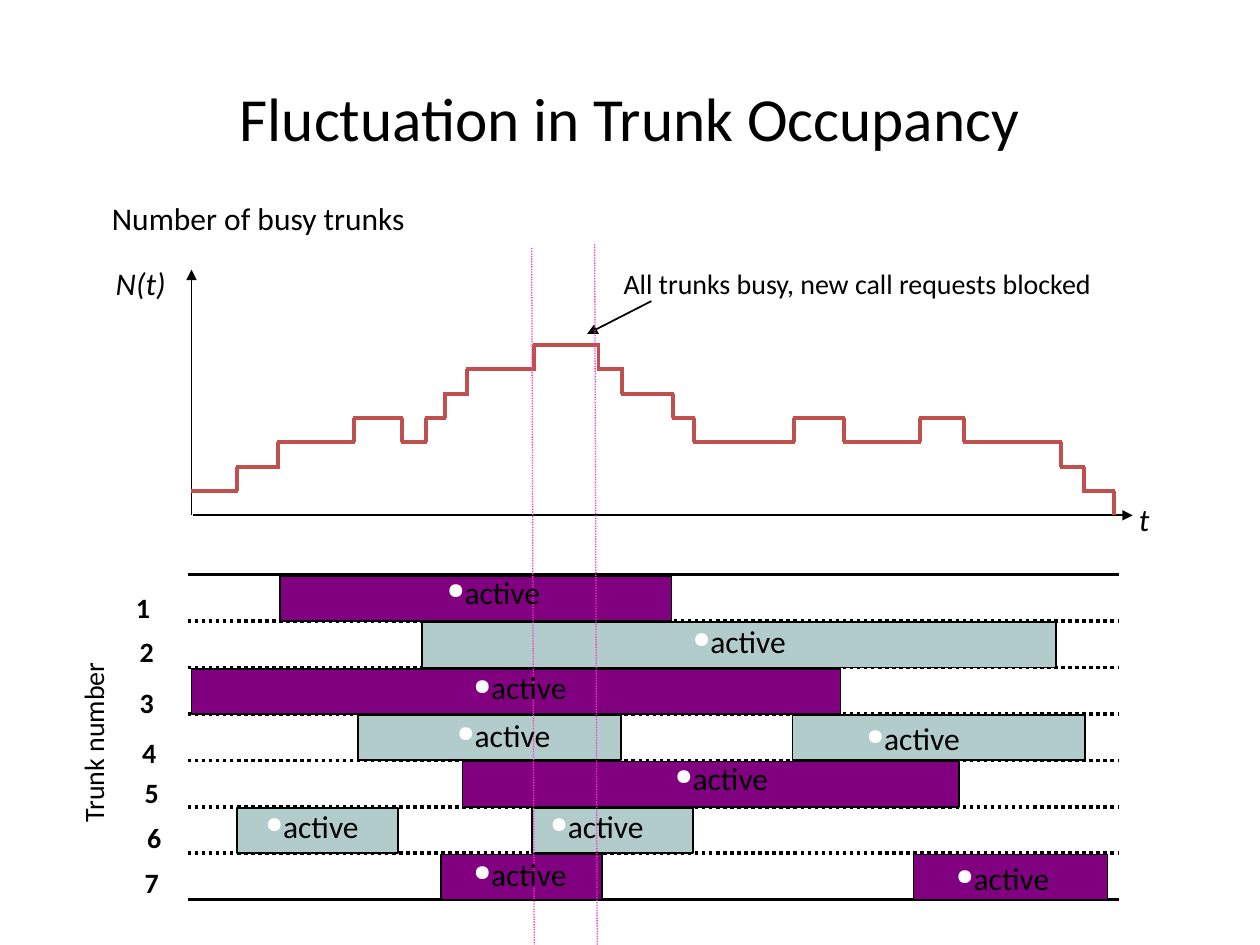
import pptx
import pptx.util
from lxml import etree
from pptx.dml.color import RGBColor
from pptx.enum.dml import MSO_LINE
from pptx.enum.shapes import MSO_CONNECTOR, MSO_SHAPE
from pptx.enum.text import MSO_ANCHOR, MSO_AUTO_SIZE, PP_ALIGN
from pptx.oxml.ns import qn
from pptx.util import Inches

# Content
TITLE = "Fluctuation in Trunk Occupancy"
FONT = "Calibri"
BLACK, PURPLE, TEAL, RED, PINK, WHITE = (
    "000000", "800080", "B1CCCB", "C0504D", "FF33CC", "FFFFFF")

# trunk, bar left, bar width, label left, label top
CALLS = [
    (1, 2.22, 3.11, 3.45, 4.53),
    (2, 3.35, 5.03, 5.40, 4.92),
    (3, 1.52, 5.15, 3.66, 5.29),
    (4, 2.84, 2.09, 3.53, 5.67),
    (4, 6.29, 2.32, 6.78, 5.69),
    (5, 3.67, 3.94, 5.26, 6.01),
    (6, 1.88, 1.28, 2.01, 6.39),
    (6, 4.22, 1.28, 4.27, 6.39),
    (7, 3.50, 1.28, 3.66, 6.77),
    (7, 7.25, 1.54, 7.49, 6.80),
]
# left and top of the numbers 1 to 7
TRUNK_NUMBERS = [(0.98, 4.64), (1.01, 4.99), (1.01, 5.39), (1.03, 5.79),
                 (1.05, 6.11), (1.07, 6.46), (1.05, 6.82)]
# time of each change, busy trunks from then on
OCCUPANCY = [
    (1.53, 1), (1.88, 2), (2.21, 3), (2.81, 4), (3.19, 3), (3.38, 4),
    (3.53, 5), (3.71, 6), (4.24, 7), (4.75, 6), (4.94, 5), (5.34, 4),
    (5.51, 3), (6.30, 4), (6.70, 3), (7.30, 4), (7.65, 3), (8.42, 2),
    (8.60, 1), (8.84, 0),
]
BLOCKED_LIMITS = [(4.22, 1.97, 4.24), (4.72, 1.94, 4.74)]

# Geometry
TRUNK_COUNT = 7
LANES_LEFT, LANES_RIGHT, LANES_TOP, LANES_BOTTOM = 1.49, 8.88, 4.56, 7.14
LANE = (LANES_BOTTOM - LANES_TOP) / TRUNK_COUNT
AXIS_Y, STEP = 4.09, 0.19
OVERLAP = 0.01


def color(value):
    return RGBColor.from_string(value)


def set_font(font, size, bold=None, italic=None):
    font.name = FONT
    font.size = pptx.util.Pt(size)
    font.bold = bold
    font.italic = italic
    font.color.rgb = color(BLACK)


def add_line(start, end, line_color, width, dash=None, arrow=False):
    line = slide.shapes.add_connector(
        MSO_CONNECTOR.STRAIGHT, *(Inches(value) for value in (*start, *end)))
    line.line.color.rgb = color(line_color)
    line.line.width = pptx.util.Pt(width)
    if dash:
        line.line.dash_style = dash
    properties = line._element.spPr
    if arrow:
        outline = properties.find(qn("a:ln"))
        etree.SubElement(outline, qn("a:tailEnd"), type="triangle")
    etree.SubElement(properties, qn("a:effectLst"))
    return line


def add_text(text, left, top, width, height, size,
             bold=None, italic=None, bullet=False, wrap=False):
    box = slide.shapes.add_textbox(*map(Inches, (left, top, width, height)))
    frame = box.text_frame
    frame.word_wrap = wrap
    frame.auto_size = MSO_AUTO_SIZE.SHAPE_TO_FIT_TEXT
    paragraph = frame.paragraphs[0]
    if bullet:
        properties = paragraph._p.get_or_add_pPr()
        bullet_color = etree.SubElement(properties, qn("a:buClr"))
        etree.SubElement(bullet_color, qn("a:srgbClr"), val=WHITE)
        etree.SubElement(properties, qn("a:buSzPct"), val="70000")
        etree.SubElement(properties, qn("a:buChar"), char="●")
        paragraph.line_spacing = 0.9
    run = paragraph.add_run()
    run.text = text
    set_font(run.font, size, bold, italic)
    return box


presentation = pptx.Presentation()
presentation.slide_width, presentation.slide_height = Inches(10), Inches(7.5)
slide = presentation.slides.add_slide(presentation.slide_layouts[5])

# Title
title = slide.shapes.title
title.left, title.top, title.width, title.height = map(Inches, (0.5, 0.3, 9, 1.25))
title.text_frame.vertical_anchor = MSO_ANCHOR.MIDDLE
title_paragraph = title.text_frame.paragraphs[0]
title_paragraph.alignment = PP_ALIGN.CENTER
title_run = title_paragraph.add_run()
title_run.text = TITLE
set_font(title_run.font, 35)

# Trunk lanes: solid outer lines, dotted separators
for index in range(TRUNK_COUNT + 1):
    y = LANES_TOP + index * LANE
    dash = None if index in (0, TRUNK_COUNT) else MSO_LINE.ROUND_DOT
    add_line((LANES_LEFT, y), (LANES_RIGHT, y), BLACK, 2, dash)

# Calls on each trunk
for trunk, left, width, _, _ in CALLS:
    top = LANES_TOP + (trunk - 1) * LANE + 0.01
    bar = slide.shapes.add_shape(
        MSO_SHAPE.RECTANGLE, *map(Inches, (left, top, width, 0.36)))
    bar.shadow.inherit = False
    bar.fill.solid()
    bar.fill.fore_color.rgb = color(PURPLE if trunk % 2 else TEAL)
    bar.line.color.rgb = color(BLACK)
    bar.line.width = pptx.util.Pt(1)

# Trunk numbers
for number, (left, top) in enumerate(TRUNK_NUMBERS, start=1):
    add_text(str(number), left, top, 0.32, 0.36, 16, bold=True)
add_text("Trunk number", -0.1, 5.61, 1.67, 0.36, 16, wrap=True).rotation = 270

# Axes and their labels
add_line((1.52, AXIS_Y), (1.52, 2.14), BLACK, 1, arrow=True)
add_line((1.53, AXIS_Y), (8.99, AXIS_Y), BLACK, 1, arrow=True)
add_text("N(t)", 0.82, 2.05, 0.61, 0.4, 18, italic=True)
add_text("t", 8.94, 3.92, 0.3, 0.4, 18, italic=True, wrap=True)
add_text("Number of busy trunks", 0.79, 1.53, 2.65, 0.37, 18)

# Blocked-call remark
add_line((5.17, 2.39), (4.66, 2.65), BLACK, 1, arrow=True)
add_text("All trunks busy, new call requests blocked", 4.85, 2.07, 4.31, 0.36, 16)

# Occupancy curve
for (x, busy), (next_x, next_busy) in zip(OCCUPANCY, OCCUPANCY[1:]):
    y, next_y = (AXIS_Y - level * (STEP + 0.003) for level in (busy, next_busy))
    add_line((x - OVERLAP, y), (next_x + OVERLAP, y), RED, 2.25)
    add_line((next_x, min(y, next_y)), (next_x, max(y, next_y)), RED, 2.25)

# Limits of the blocked period
for top_x, top, bottom_x in BLOCKED_LIMITS:
    add_line((top_x, top), (bottom_x, 7.5), PINK, 0.75, MSO_LINE.ROUND_DOT)

# Call labels
for _, _, _, left, top in CALLS:
    add_text("active", left, top, 0.99, 0.37, 18, bullet=True)

presentation.save("out.pptx")
